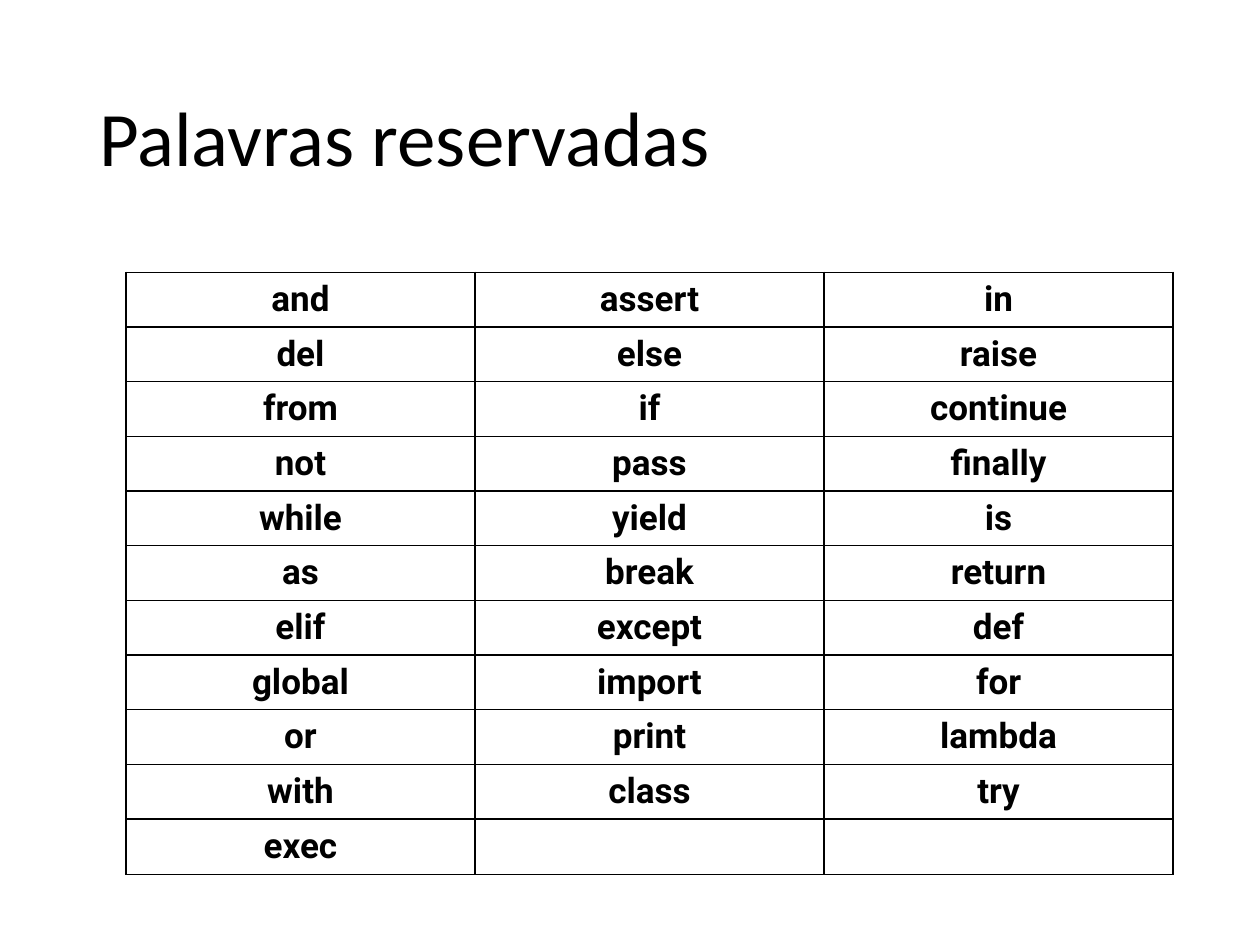
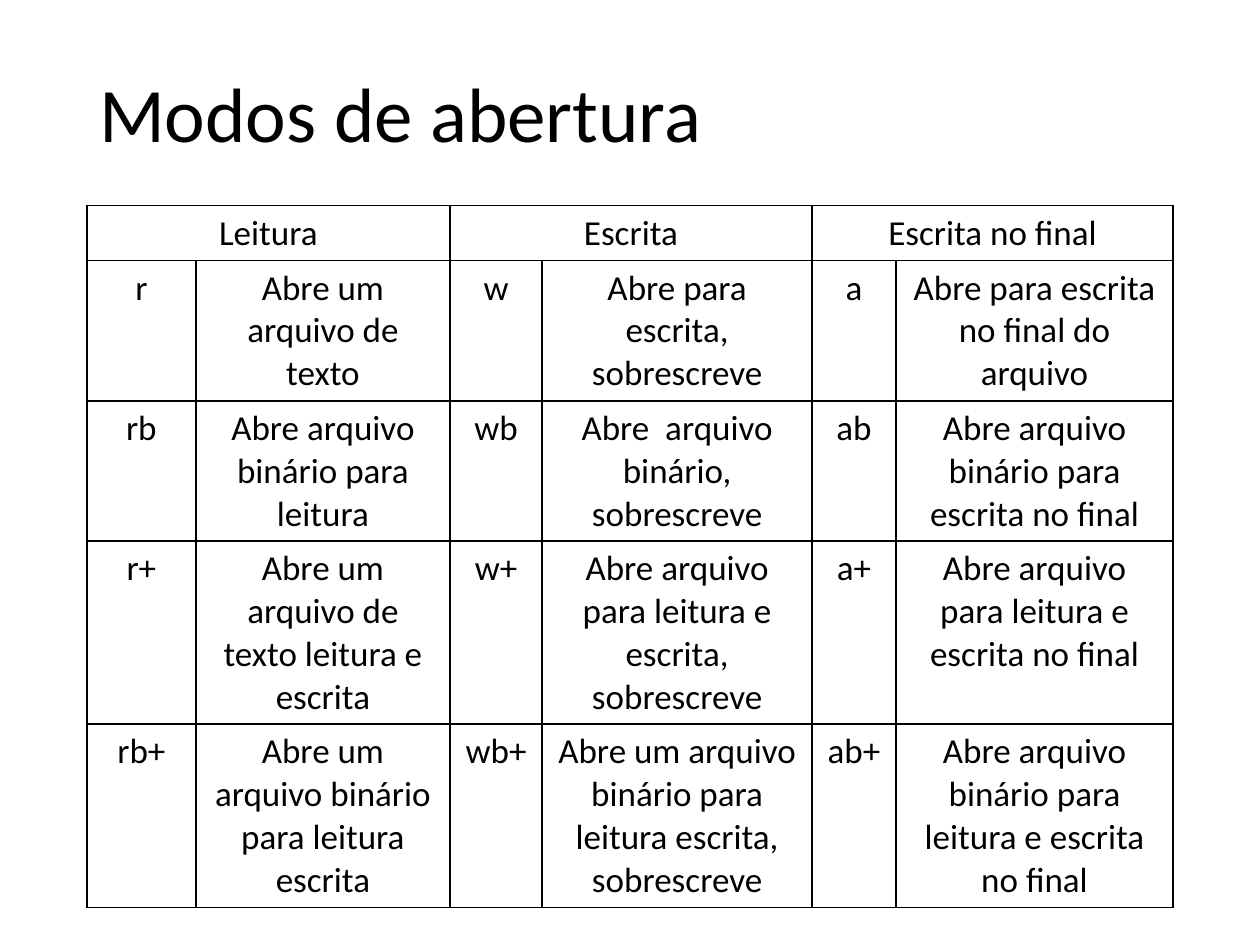
from lxml.etree import SubElement
from pptx import Presentation
from pptx.dml.color import RGBColor
from pptx.enum.text import MSO_ANCHOR, PP_ALIGN
from pptx.oxml.ns import qn
from pptx.util import Cm, Pt

# Content
RESERVED_TITLE = "Palavras reservadas"
RESERVED_WORDS = [
    ("and", "assert", "in"),
    ("del", "else", "raise"),
    ("from", "if", "continue"),
    ("not", "pass", "finally"),
    ("while", "yield", "is"),
    ("as", "break", "return"),
    ("elif", "except", "def"),
    ("global", "import", "for"),
    ("or", "print", "lambda"),
    ("with", "class", "try"),
    ("exec", "", ""),
]

MODES_TITLE = "Modos de abertura"
MODE_GROUPS = ["Leitura", "Escrita", "Escrita no final"]
MODES = [
    ("r", "Abre um arquivo de texto",
     "w", "Abre para escrita, sobrescreve",
     "a", "Abre para escrita no final do arquivo"),
    ("rb", "Abre arquivo binário para leitura",
     "wb", "Abre  arquivo binário, sobrescreve",
     "ab", "Abre arquivo binário para escrita no final"),
    ("r+", "Abre um arquivo de texto leitura e escrita",
     "w+", "Abre arquivo para leitura e escrita, sobrescreve",
     "a+", "Abre arquivo para leitura e escrita no final"),
    ("rb+", "Abre um arquivo binário para leitura escrita",
     "wb+", "Abre um arquivo binário para leitura escrita, sobrescreve",
     "ab+", "Abre arquivo binário para leitura e escrita no final"),
]

# Shared style
COLORS = {"background": "FFFFFF", "text": "000000", "border": "000000"}
TITLE_FONT = "Calibri"
LEFT, TITLE_TOP, WIDTH = 1.75, 1.02, 21.9
RIGHT = LEFT + WIDTH


def add_run(p, text, font, size, bold=False):
    r = p.add_run()
    r.text = text
    r.font.name = font
    r.font.size = Pt(size)
    r.font.bold = bold
    r.font.color.rgb = RGBColor.from_string(COLORS["text"])


def add_slide(prs, title, title_height):
    s = prs.slides.add_slide(prs.slide_layouts[6])
    s.background.fill.solid()
    s.background.fill.fore_color.rgb = RGBColor.from_string(COLORS["background"])
    box = s.shapes.add_textbox(Cm(LEFT), Cm(TITLE_TOP), Cm(WIDTH), Cm(title_height))
    tf = box.text_frame
    tf.word_wrap = True
    tf.vertical_anchor = MSO_ANCHOR.MIDDLE
    p = tf.paragraphs[0]
    p.line_spacing = 0.9
    add_run(p, title, TITLE_FONT, 44)
    return s


def add_borders(cell):
    tc_pr = cell._tc.get_or_add_tcPr()
    for side in ("a:lnL", "a:lnR", "a:lnT", "a:lnB"):
        line = SubElement(tc_pr, qn(side), w=str(Pt(1)))
        fill = SubElement(line, qn("a:solidFill"))
        SubElement(fill, qn("a:srgbClr"), val=COLORS["border"])


def add_grid(s, rows, left, top, widths, heights, font, bold, anchor):
    frame = s.shapes.add_table(len(rows), len(widths), Cm(left), Cm(top),
                               Cm(sum(widths)), Cm(sum(heights)))
    table = frame.table
    table.first_row = table.horz_banding = False
    for column, width in zip(table.columns, widths):
        column.width = Cm(width)
    for row, height, texts in zip(table.rows, heights, rows):
        row.height = Cm(height)
        for cell, text in zip(row.cells, texts):
            add_borders(cell)
            cell.fill.background()
            cell.vertical_anchor = anchor
            p = cell.text_frame.paragraphs[0]
            p.alignment = PP_ALIGN.CENTER
            if text:
                add_run(p, text, font, 20, bold)
    return table


def add_reserved_words(prs):
    s = add_slide(prs, RESERVED_TITLE, 3.68)
    left = 2.54
    widths = [(RIGHT - left) / 3] * 3
    heights = [1.08] * (len(RESERVED_WORDS) - 1) + [1.12]
    add_grid(s, RESERVED_WORDS, left, 5.49, widths, heights,
             "Roboto", True, MSO_ANCHOR.MIDDLE)


def add_opening_modes(prs):
    s = add_slide(prs, MODES_TITLE, 2.72)
    header = [text for group in MODE_GROUPS for text in (group, "")]
    widths = [2.2, 5.12, 1.86, 5.44, 1.69, 5.59]
    # Row height follows the number of text lines
    heights = [0.25 + 0.86 * lines for lines in (1, 3, 3, 4, 4)]
    table = add_grid(s, [header] + MODES, LEFT, 4.14, widths, heights,
                     "Calibri", False, MSO_ANCHOR.TOP)
    for col in range(0, len(widths), 2):
        table.cell(0, col).merge(table.cell(0, col + 1))


def main():
    prs = Presentation()
    prs.slide_width, prs.slide_height = Cm(25.4), Cm(19.05)
    add_reserved_words(prs)
    add_opening_modes(prs)
    prs.save("out.pptx")


if __name__ == "__main__":
    main()
